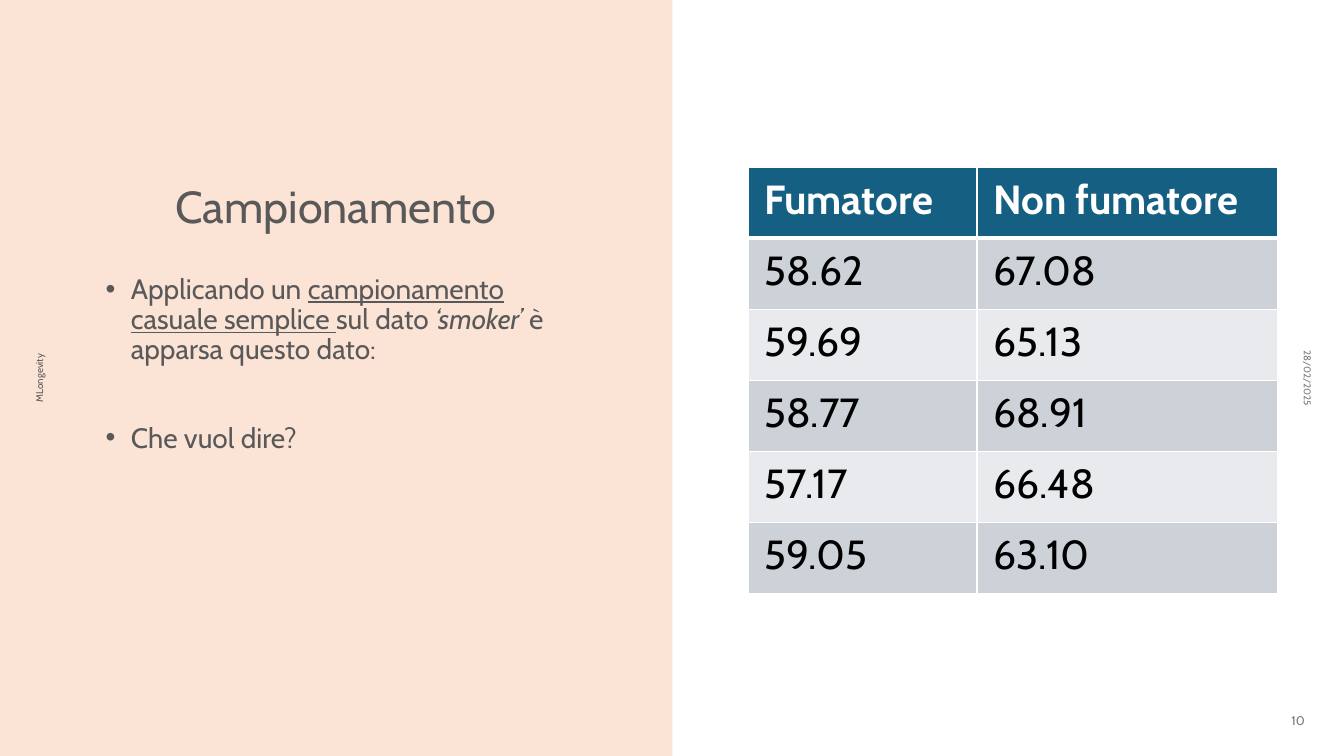
from lxml import etree
from pptx import Presentation
from pptx.dml.color import RGBColor
from pptx.enum.shapes import MSO_SHAPE
from pptx.enum.text import MSO_ANCHOR, PP_ALIGN
from pptx.oxml.ns import qn
from pptx.util import Inches, Pt

RECTANGLE = MSO_SHAPE.RECTANGLE
TOP, MIDDLE, BOTTOM = MSO_ANCHOR.TOP, MSO_ANCHOR.MIDDLE, MSO_ANCHOR.BOTTOM
LEFT, CENTER, RIGHT = PP_ALIGN.LEFT, PP_ALIGN.CENTER, PP_ALIGN.RIGHT

FONT = "Cabin"
COLORS = {
    "peach": "FBE3D6", "text": "595959", "muted": "797979", "white": "FFFFFF",
    "black": "000000", "header": "156082", "odd": "CCD2D8", "even": "E8EAED",
}

TITLE = "Campionamento"
BULLETS = [
    (0, [("Applicando un ", ""), ("campionamento casuale semplice ", "underline"),
         ("sul dato ", ""), ("‘smoker’ ", "italic"), ("è apparsa questo dato:", "")]),
    (41.5, [("Che vuol dire?", "")]),
]
MARGIN_NOTES = [
    ("MLongevity", (-1.86, 3.55, 4.5, 0.4), 270, CENTER, 7, "text"),
    ("28/02/2025", (9.97, 3.55, 6, 0.4), 90, CENTER, 7, "muted"),
    ("10", (10.04, 6.95, 3, 0.4), 0, RIGHT, 9, "muted"),
]
AGES = [
    ("Fumatore", "Non fumatore"),
    ("58.62", "67.08"),
    ("59.69", "65.13"),
    ("58.77", "68.91"),
    ("57.17", "66.48"),
    ("59.05", "63.10"),
]
AGES_BOX = (7.42, 1.66, 5.25, 4.23)
AGES_WIDTHS = (2.27, 2.98)


def rgb(name):
    return RGBColor.from_string(COLORS[name])


def add_run(paragraph, text, size, color, style=""):
    run = paragraph.add_run()
    run.text = text
    run.font.name = FONT
    run.font.size = Pt(size)
    run.font.color.rgb = rgb(color)
    if style:
        setattr(run.font, style, True)


def add_frame(slide, box, anchor, rotation=0):
    holder = slide.shapes.add_textbox(*map(Inches, box))
    holder.rotation = rotation
    frame = holder.text_frame
    frame.word_wrap = True
    frame.vertical_anchor = anchor
    return frame


def add_bullets(slide):
    frame = add_frame(slide, (0.95, 2.68, 4.76, 4.12), TOP)
    for index, (space_before, pieces) in enumerate(BULLETS):
        paragraph = frame.add_paragraph() if index else frame.paragraphs[0]
        properties = paragraph._p.get_or_add_pPr()
        properties.set("marL", str(Inches(0.25)))
        properties.set("indent", str(-Inches(0.25)))
        etree.SubElement(properties, qn("a:buFont"), typeface="Arial")
        etree.SubElement(properties, qn("a:buChar"), char="•")
        paragraph.alignment = LEFT
        paragraph.line_spacing = 0.9
        paragraph.space_before = Pt(space_before)
        for text, style in pieces:
            add_run(paragraph, text, 20, "text", style)


def add_borders(cell, top, bottom):
    properties = cell._tc.get_or_add_tcPr()
    sides = {"lnL": 1, "lnR": 1, "lnT": top, "lnB": bottom}
    for position, (side, width) in enumerate(sides.items()):
        line = etree.Element(qn(f"a:{side}"), w=str(Pt(width)))
        fill = etree.SubElement(line, qn("a:solidFill"))
        etree.SubElement(fill, qn("a:srgbClr"), val=COLORS["white"])
        properties.insert(position, line)


def add_ages(slide):
    table = slide.shapes.add_table(
        len(AGES), len(AGES_WIDTHS), *map(Inches, AGES_BOX)).table
    for column, width in zip(table.columns, AGES_WIDTHS):
        column.width = Inches(width)
    for row, values in enumerate(AGES):
        is_header = row == 0
        fill = "header" if is_header else "odd" if row % 2 else "even"
        for column, value in enumerate(values):
            cell = table.cell(row, column)
            cell.margin_left = cell.margin_right = Inches(0.16)
            cell.margin_top = cell.margin_bottom = Inches(0.08)
            cell.fill.solid()
            cell.fill.fore_color.rgb = rgb(fill)
            add_borders(cell, 3 if row == 1 else 1, 3 if is_header else 1)
            add_run(cell.text_frame.paragraphs[0], value, 29,
                    "white" if is_header else "black", "bold" if is_header else "")


def main():
    """Build the sampling slide with its table of ages."""
    deck = Presentation()
    deck.slide_width, deck.slide_height = Inches(13.33), Inches(7.5)
    slide = deck.slides.add_slide(deck.slide_layouts[6])

    panel = slide.shapes.add_shape(RECTANGLE, 0, 0, Inches(6.67), Inches(7.5))
    panel.shadow.inherit = False
    panel.fill.solid()
    panel.fill.fore_color.rgb = rgb("peach")
    panel.line.fill.background()

    heading = add_frame(slide, (0.95, 0.75, 4.76, 1.61), BOTTOM).paragraphs[0]
    heading.alignment = CENTER
    heading.line_spacing = 0.9
    add_run(heading, TITLE, 32, "text")

    add_bullets(slide)
    for text, box, rotation, alignment, size, color in MARGIN_NOTES:
        note = add_frame(slide, box, MIDDLE, rotation).paragraphs[0]
        note.alignment = alignment
        note.space_after = Pt(6)
        add_run(note, text, size, color)
    add_ages(slide)
    deck.save("out.pptx")


if __name__ == "__main__":
    main()
